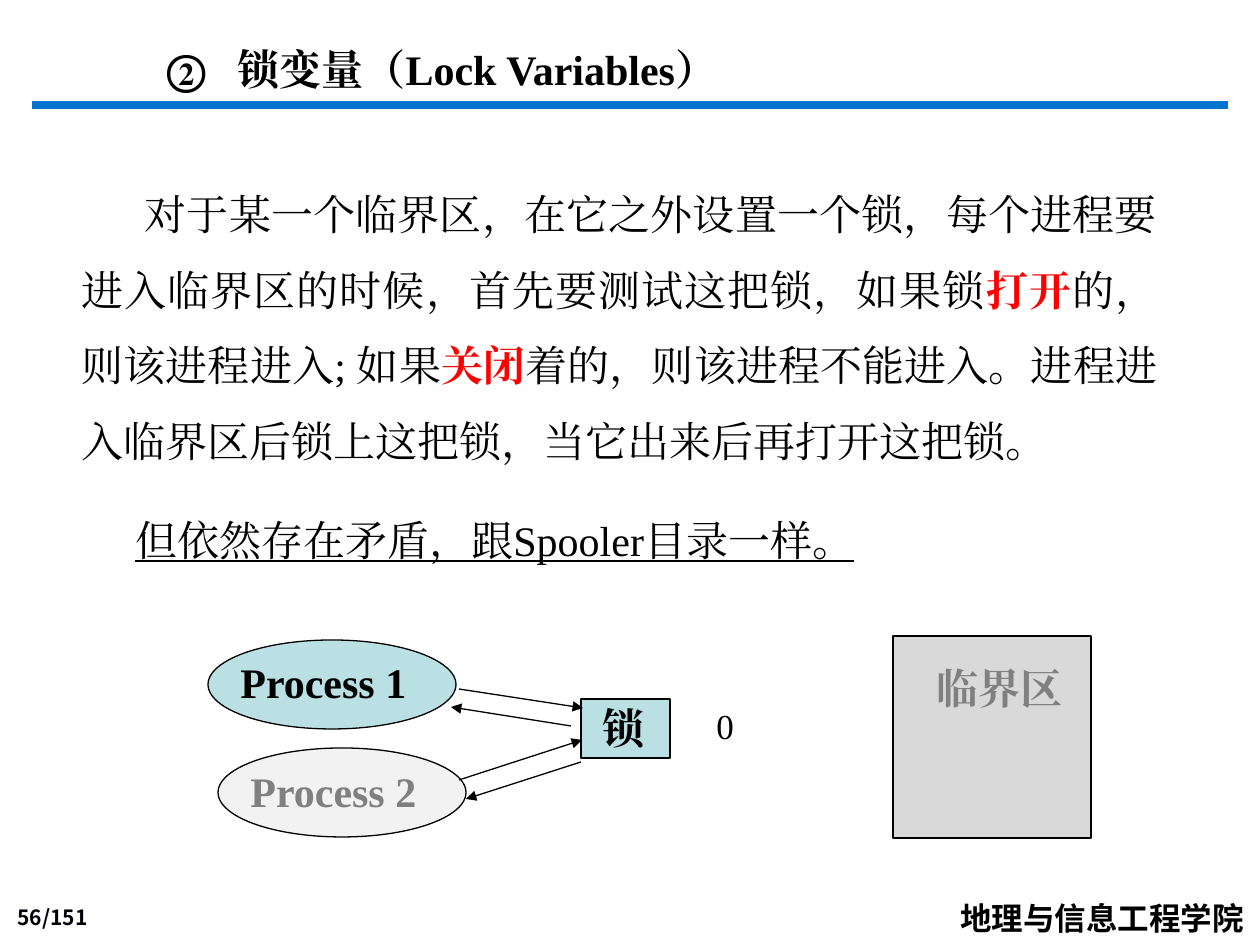
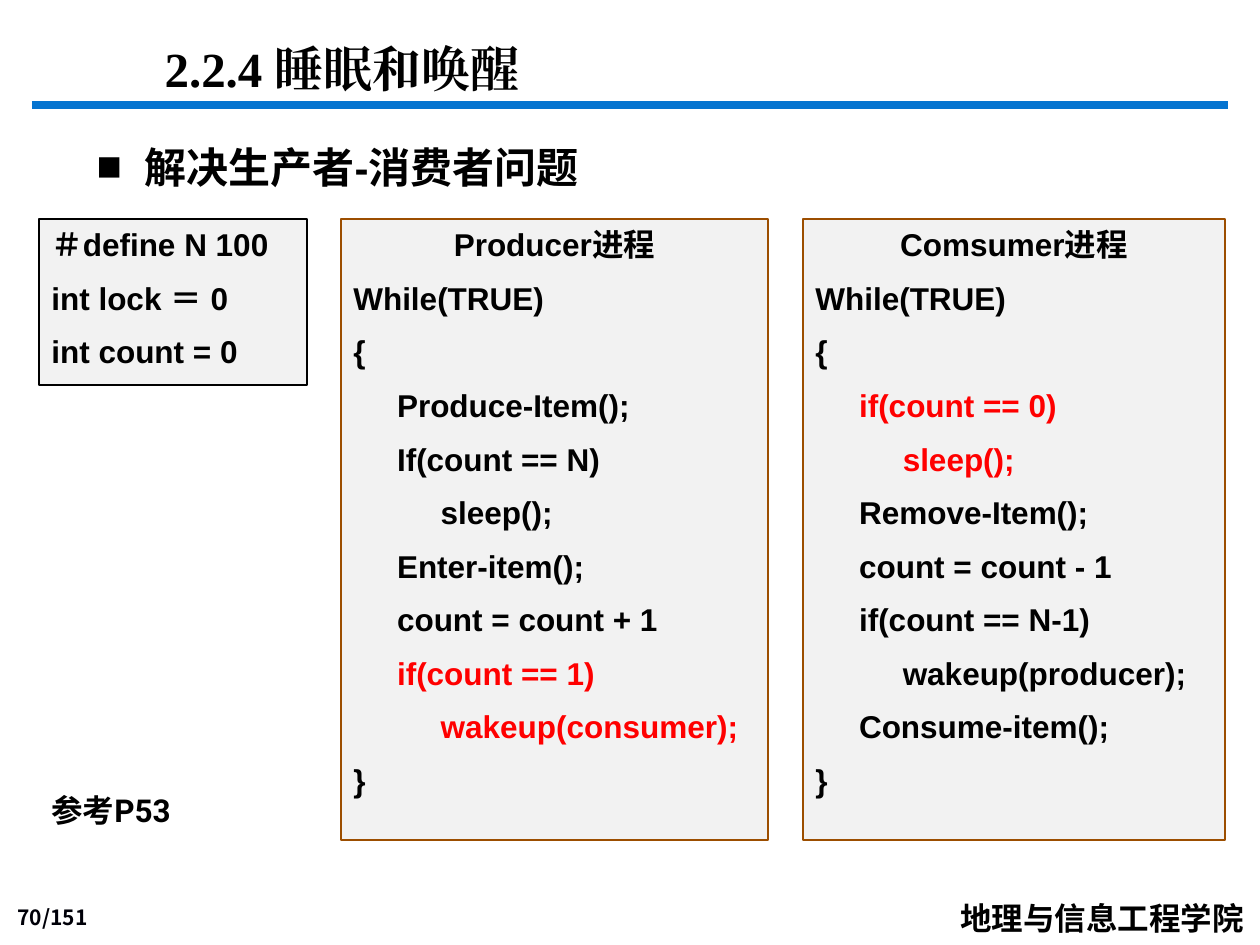
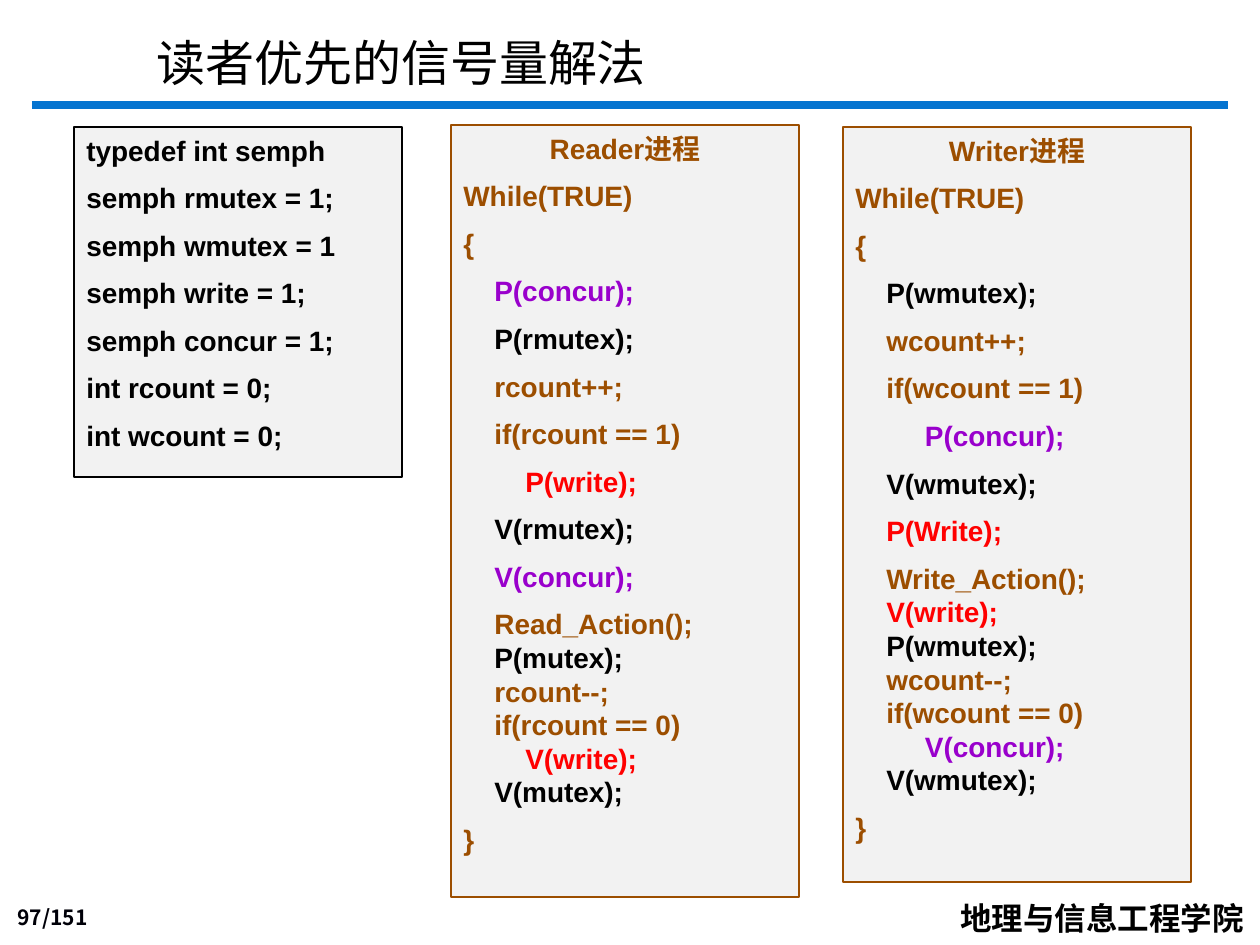
from dataclasses import dataclass

from lxml import etree
from pptx import Presentation
from pptx.dml.color import RGBColor
from pptx.enum.shapes import MSO_CONNECTOR as Connector, MSO_SHAPE as Shape
from pptx.enum.text import MSO_ANCHOR as Anchor, MSO_AUTO_SIZE as AutoSize, PP_ALIGN as Align
from pptx.oxml.ns import qn
from pptx.util import Pt

PX = 914400 / 126  # EMU per px


@dataclass(frozen=True)
class Theme:
    black: str = "000000"
    ink: str = "000008"
    blue: str = "0574D0"
    red: str = "FF0000"
    brown: str = "9C4E00"
    purple: str = "9900CC"
    gray: str = "808080"
    zone: str = "D9D9D9"
    panel: str = "F2F2F2"
    teal: str = "BBE0E3"
    serif: str = "Times New Roman"
    sans: str = "Arial"
    reference: str = "Roboto"
    school: str = "Noto Sans CJK SC"
    number: str = "Noto Sans CJK JP"
    title: int = 28
    body: int = 24
    value: int = 20
    code: int = 18
    small_code: int = 16
    page: int = 12
    line_height: float = 1.2
    gap: float = 0.5
    hairline: float = 0.75
    band: float = 4.5


T = Theme()

# ---- Content ----
SCHOOL, PAGE_TOTAL = "地理与信息工程学院", 151

LOCK_TEXT = [
    ("对于某一个临界区，在它之外设置一个锁，每个进程要进入临界区的时候，首先要测试这把锁，如果锁", False),
    ("打开", True),
    ("的，则该进程进入; 如果", False),
    ("关闭", True),
    ("着的，则该进程不能进入。进程进入临界区后锁上这把锁，当它出来后再打开这把锁。", False),
]
LOCK_NOTE = "但依然存在矛盾，跟Spooler目录一样。"

# preset, box, fill, label, label box, label colour
LOCK_NODES = [
    (Shape.RECTANGLE, (893, 636, 198, 202), T.zone, "临界区", (924, 656, 159, 63), T.gray),
    (Shape.RECTANGLE, (581, 699, 89, 59), T.teal, "锁", (590, 696, 79, 63), T.black),
    (Shape.OVAL, (208, 640, 248, 89), T.teal, "Process 1", (228, 650, 258, 63), T.black),
    (Shape.OVAL, (218, 748, 248, 89), T.panel, "Process 2", (238, 759, 258, 63), T.gray),
]
LOCK_ARROWS = [
    (459, 689, 583, 708),
    (571, 726, 451, 707),
    (459, 780, 582, 740),
    (581, 762, 466, 799),
]

# Code lines are (text, colour)
SHARED_COUNTERS = [(text, T.black) for text in ("＃define N 100", "int lock ＝ 0", "int count = 0")]
PRODUCER = [
    ("Producer进程", T.black),
    ("While(TRUE)", T.black),
    ("{", T.black),
    ("     Produce-Item();", T.black),
    ("     If(count == N)", T.black),
    ("          sleep();", T.black),
    ("     Enter-item();", T.black),
    ("     count = count + 1", T.black),
    ("     if(count == 1)", T.red),
    ("          wakeup(consumer);", T.red),
    ("}", T.black),
]
CONSUMER = [
    ("Comsumer进程", T.black),
    ("While(TRUE)", T.black),
    ("{", T.black),
    ("     if(count == 0)", T.red),
    ("          sleep();", T.red),
    ("     Remove-Item();", T.black),
    ("     count = count - 1", T.black),
    ("     if(count == N-1)", T.black),
    ("          wakeup(producer);", T.black),
    ("     Consume-item();", T.black),
    ("}", T.black),
]
SEMAPHORES = [(text, T.black) for text in (
    "typedef int semph", "semph rmutex = 1;", "semph wmutex = 1", "semph write = 1;",
    "semph concur = 1;", "int rcount = 0;", "int wcount = 0;")]
READER = [
    ("Reader进程", T.brown),
    ("While(TRUE)", T.brown),
    ("{", T.brown),
    ("    P(concur);", T.purple),
    ("    P(rmutex);", T.black),
    ("    rcount++;", T.brown),
    ("    if(rcount == 1)", T.brown),
    ("        P(write);", T.red),
    ("    V(rmutex);", T.black),
    ("    V(concur);", T.purple),
    ("    Read_Action();", T.brown),
    ("    P(mutex);", T.black),
    ("    rcount--;", T.brown),
    ("    if(rcount == 0)", T.brown),
    ("        V(write);", T.red),
    ("    V(mutex);", T.black),
    ("}", T.brown),
]
WRITER = [
    ("Writer进程", T.brown),
    ("While(TRUE)", T.brown),
    ("{", T.brown),
    ("    P(wmutex);", T.black),
    ("    wcount++;", T.brown),
    ("    if(wcount == 1)", T.brown),
    ("         P(concur);", T.purple),
    ("    V(wmutex);", T.black),
    ("    P(Write);", T.red),
    ("    Write_Action();", T.brown),
    ("    V(write);", T.red),
    ("    P(wmutex);", T.black),
    ("    wcount--;", T.brown),
    ("    if(wcount == 0)", T.brown),
    ("         V(concur);", T.purple),
    ("    V(wmutex);", T.black),
    ("}", T.brown),
]


# ---- Helpers ----
def emu(*lengths):
    return [round(length * PX) for length in lengths]


def rgb(color):
    return RGBColor.from_string(color)


def set_bullet(para, tag, left=0, first=0, **attributes):
    """Set the indent in px and one bullet element."""
    properties = para._p.get_or_add_pPr()
    margin, indent = emu(left, first)
    properties.set("marL", str(margin))
    properties.set("indent", str(indent))
    bullet = etree.SubElement(properties, qn(f"a:{tag}"))
    for name, value in attributes.items():
        bullet.set(name, value)


def style(para, size, font, color=T.black, bold=False, align=Align.LEFT, before=0, spacing=1):
    para.alignment = align
    para.line_spacing = Pt(round(size * T.line_height * spacing, 2))
    para.space_before = Pt(before)
    para.font.size = Pt(size)
    para.font.bold = bold
    para.font.name = font
    para.font.color.rgb = rgb(color)
    east_asian = etree.Element(qn("a:ea"), typeface=font)
    para.font._rPr.find(qn("a:latin")).addnext(east_asian)


def prepare(box, anchor=Anchor.TOP, wrap=True):
    frame = box.text_frame
    frame.auto_size = AutoSize.NONE
    frame.word_wrap = wrap
    frame.vertical_anchor = anchor
    return frame.paragraphs[0]


def place(box, bounds):
    box.left, box.top, box.width, box.height = emu(*bounds)
    return prepare(box)


def add_label(page, bounds, text, size, font, anchor=Anchor.TOP, wrap=True, **looks):
    box = page.shapes.add_textbox(*emu(*bounds))
    para = prepare(box, anchor, wrap)
    para.text = text
    style(para, size, font, **looks)
    return para


def add_block(page, preset, bounds, fill, line=T.black):
    block = page.shapes.add_shape(preset, *emu(*bounds))
    block.shadow.inherit = False
    block.fill.solid()
    block.fill.fore_color.rgb = rgb(fill)
    block.line.color.rgb = rgb(line)
    block.line.width = Pt(T.hairline)
    return block


def add_line(page, ends, color, width, arrow=False):
    line = page.shapes.add_connector(Connector.STRAIGHT, *emu(*ends))
    line.line.color.rgb = rgb(color)
    line.line.width = Pt(width)
    if arrow:
        etree.SubElement(line.line._get_or_add_ln(), qn("a:tailEnd"), type="triangle")
    etree.SubElement(line._element.spPr, qn("a:effectLst"))


def add_code(page, bounds, lines, size, border=T.brown, headed=True, tight=()):
    """Draw a code panel; line numbers in tight get no space before."""
    panel = add_block(page, Shape.RECTANGLE, bounds, T.panel, border)
    para = prepare(panel)
    for number, (text, color) in enumerate(lines):
        if number:
            para = panel.text_frame.add_paragraph()
        para.text = text
        before = 0 if number == 0 or number in tight else size * T.gap
        align = Align.CENTER if headed and number == 0 else Align.LEFT
        style(para, size, T.sans, color, True, align, before)


def start_page(deck, layout, number, title, bounds, size, font, bold=True, start=None):
    page = deck.slides.add_slide(deck.slide_layouts.get_by_name(layout))
    add_line(page, (32, 105, 1228, 105), T.blue, T.band)
    add_label(page, (0, 900, 100, 36), f"{number}/{PAGE_TOTAL}", T.page, T.number,
              anchor=Anchor.BOTTOM, color=T.ink, bold=True, align=Align.RIGHT)
    add_label(page, (948, 893, 311, 51), SCHOOL, T.code, T.school, wrap=False, bold=True)
    para = place(page.shapes.title, bounds)
    para.text = title
    if start:
        set_bullet(para, "buAutoNum", 71, -71, type="circleNumDbPlain", startAt=str(start))
    style(para, size, font, bold=bold)
    return page


# ---- Slides ----
def lock_page(deck):
    page = start_page(deck, "Title and Content", 56, "锁变量（Lock Variables）",
                      (154, 37, 1002, 63), T.body, T.serif, start=2)
    para = place(page.placeholders[1], (69, 157, 1101, 318))
    set_bullet(para, "buNone", first=63)
    style(para, T.body, T.serif, align=Align.JUSTIFY, spacing=1.5)
    for text, marked in LOCK_TEXT:
        span = para.add_run()
        span.text = text
        if marked:
            span.font.bold = True
            span.font.color.rgb = rgb(T.red)

    for preset, bounds, fill, label, label_bounds, color in LOCK_NODES:
        add_block(page, preset, bounds, fill)
        add_label(page, label_bounds, label, T.body, T.serif, color=color, bold=True)
    for ends in LOCK_ARROWS:
        add_line(page, ends, T.black, T.hairline, arrow=True)

    note = add_label(page, (123, 508, 816, 63), LOCK_NOTE, T.body, T.serif)
    note.font.underline = True
    add_label(page, (704, 698, 43, 55), "0", T.value, T.serif, wrap=False)


def sleep_page(deck):
    page = start_page(deck, "Title and Content", 70, "2.2.4 睡眠和唤醒",
                      (152, 32, 1002, 72), T.title, T.serif)
    para = place(page.placeholders[1], (84, 135, 973, 63))
    para.text = "解决生产者-消费者问题"
    set_bullet(para, "buChar", 48, -48, char="■")
    style(para, T.body, T.sans, bold=True)

    add_code(page, (39, 219, 268, 166), SHARED_COUNTERS, T.code, T.black, headed=False)
    add_code(page, (341, 219, 427, 621), PRODUCER, T.code)
    add_code(page, (803, 219, 422, 621), CONSUMER, T.code)
    add_label(page, (39, 785, 228, 51), "参考P53", T.code, T.reference, bold=True)


def reader_page(deck):
    page = start_page(deck, "Title Only", 97, "读者优先的信号量解法",
                      (144, 26, 750, 63), T.title, T.sans, bold=False)
    add_code(page, (74, 127, 328, 350), SEMAPHORES, T.small_code, T.black, headed=False)
    add_code(page, (451, 125, 348, 772), READER, T.small_code, tight=range(11, 16))
    add_code(page, (843, 127, 348, 755), WRITER, T.small_code, tight=range(10, 16))


def main():
    deck = Presentation()
    deck.slide_width, deck.slide_height = emu(1260, 945)
    for build in (lock_page, sleep_page, reader_page):
        build(deck)
    deck.save("out.pptx")


if __name__ == "__main__":
    main()
